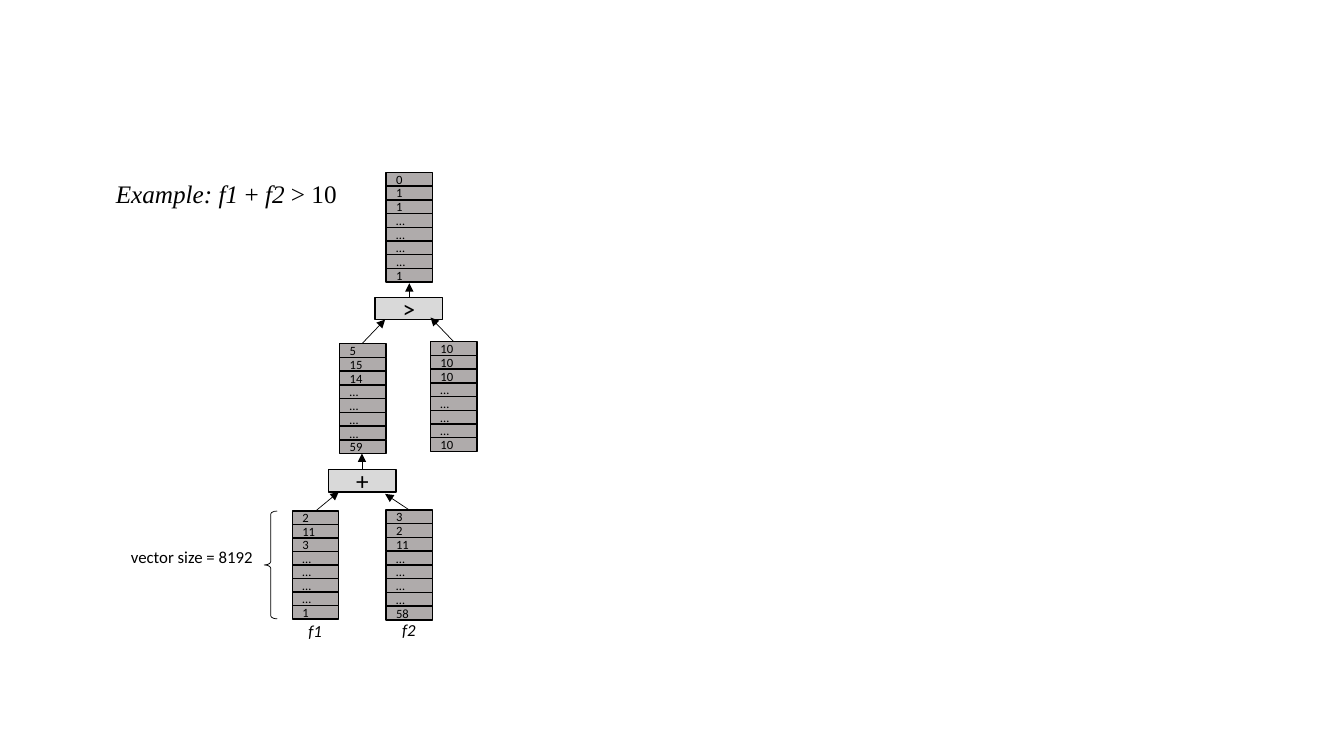
from lxml import etree
from pptx import Presentation
from pptx.dml.color import RGBColor as Rgb
from pptx.enum.shapes import MSO_CONNECTOR as Conn, MSO_SHAPE as Kind
from pptx.enum.text import MSO_ANCHOR as Anchor, MSO_AUTO_SIZE as Auto, PP_ALIGN as Align
from pptx.oxml.ns import qn
from pptx.util import Inches, Pt

COLORS = {"ink": "000000", "cell": "AFABAB", "op": "D9D9D9"}
WIDTH = 0.46
GAP = ["…"] * 4
VECTORS = [
    (2.9, 5.07, 1.07, ["2", "11", "3", *GAP, "1"]),
    (3.83, 5.06, 1.09, ["3", "2", "11", *GAP, "58"]),
    (3.37, 3.41, 1.09, ["5", "15", "14", *GAP, "59"]),
    (4.27, 3.39, 1.09, ["10", "10", "10", *GAP, "10"]),
    (3.83, 1.71, 1.09, ["0", "1", "1", "…", "…", "…", "...", "1"]),
]
OPS = [(3.26, 4.66, "+"), (3.72, 2.95, ">")]
ARROWS = [
    (3.13, 5.07, 3.36, 4.88),
    (4.06, 5.06, 3.82, 4.9),
    (3.59, 4.66, 3.59, 4.5),
    (3.59, 3.41, 3.82, 3.17),
    (4.5, 3.39, 4.27, 3.15),
    (4.06, 2.95, 4.06, 2.81),
]
LABELS = [
    (2.96, 6.11, 0.34, 0.3, 12, "Calibri", [("f1", True)]),
    (3.89, 6.1, 0.34, 0.3, 12, "Calibri", [("f2", True)]),
    (1.05, 1.72, 2.41, 0.4, 18, "Times New Roman",
     [("Example: f1 ", True), ("+ ", False), ("f2", True), (" > 10", False)]),
    (1.2, 5.37, 1.43, 0.3, 12, "Calibri", [("vector size = 8192", False)]),
]


def color(name):
    return Rgb.from_string(COLORS[name])


def style(font, size, face="Calibri"):
    font.size = Pt(size)
    font.name = face
    font.color.rgb = color("ink")


def stroke(line, width):
    line.color.rgb = color("ink")
    line.width = Pt(width)


def add_box(shapes, area, text, fill, size, align):
    box = shapes.add_shape(Kind.RECTANGLE, *map(Inches, area))
    box.shadow.inherit = False
    box.fill.solid()
    box.fill.fore_color.rgb = color(fill)
    stroke(box.line, 1)
    frame = box.text_frame
    frame.margin_top = frame.margin_bottom = 0
    frame.vertical_anchor = Anchor.MIDDLE
    para = frame.paragraphs[0]
    para.text = text
    para.alignment = align
    style(para.font, size)


def add_vector(shapes, left, top, height, values):
    group = shapes.add_group_shape()
    step = height / len(values)
    for row, value in enumerate(values):
        area = (left, top + row * step, WIDTH, step)
        add_box(group.shapes, area, value, "cell", 9, Align.LEFT)


def add_arrow(shapes, ends):
    arrow = shapes.add_connector(Conn.STRAIGHT, *map(Inches, ends))
    stroke(arrow.line, 0.5)
    props = arrow.element.spPr
    etree.SubElement(props.find(qn("a:ln")), qn("a:tailEnd"), type="triangle")
    etree.SubElement(props, qn("a:effectLst"))


def add_label(shapes, area, size, face, runs):
    frame = shapes.add_textbox(*map(Inches, area)).text_frame
    frame.word_wrap = False
    frame.auto_size = Auto.SHAPE_TO_FIT_TEXT
    para = frame.paragraphs[0]
    style(para.font, size, face)
    for text, italic in runs:
        run = para.add_run()
        run.text = text
        run.font.italic = italic


def add_brace(shapes):
    brace = shapes.add_shape(Kind.LEFT_BRACE, *map(Inches, (2.62, 5.07, 0.13, 1.07)))
    brace.shadow.inherit = False
    brace.fill.background()
    brace.adjustments[0] = 0.24
    stroke(brace.line, 0.5)


def main():
    deck = Presentation()
    deck.slide_width = Inches(13.33)
    deck.slide_height = Inches(7.5)
    shapes = deck.slides.add_slide(deck.slide_layouts[6]).shapes
    for vector in VECTORS:
        add_vector(shapes, *vector)
    for left, top, sign in OPS:
        add_box(shapes, (left, top, 0.67, 0.22), sign, "op", 18, Align.CENTER)
    for ends in ARROWS:
        add_arrow(shapes, ends)
    for *area, size, face, runs in LABELS:
        add_label(shapes, area, size, face, runs)
    add_brace(shapes)
    deck.save("out.pptx")


if __name__ == "__main__":
    main()
